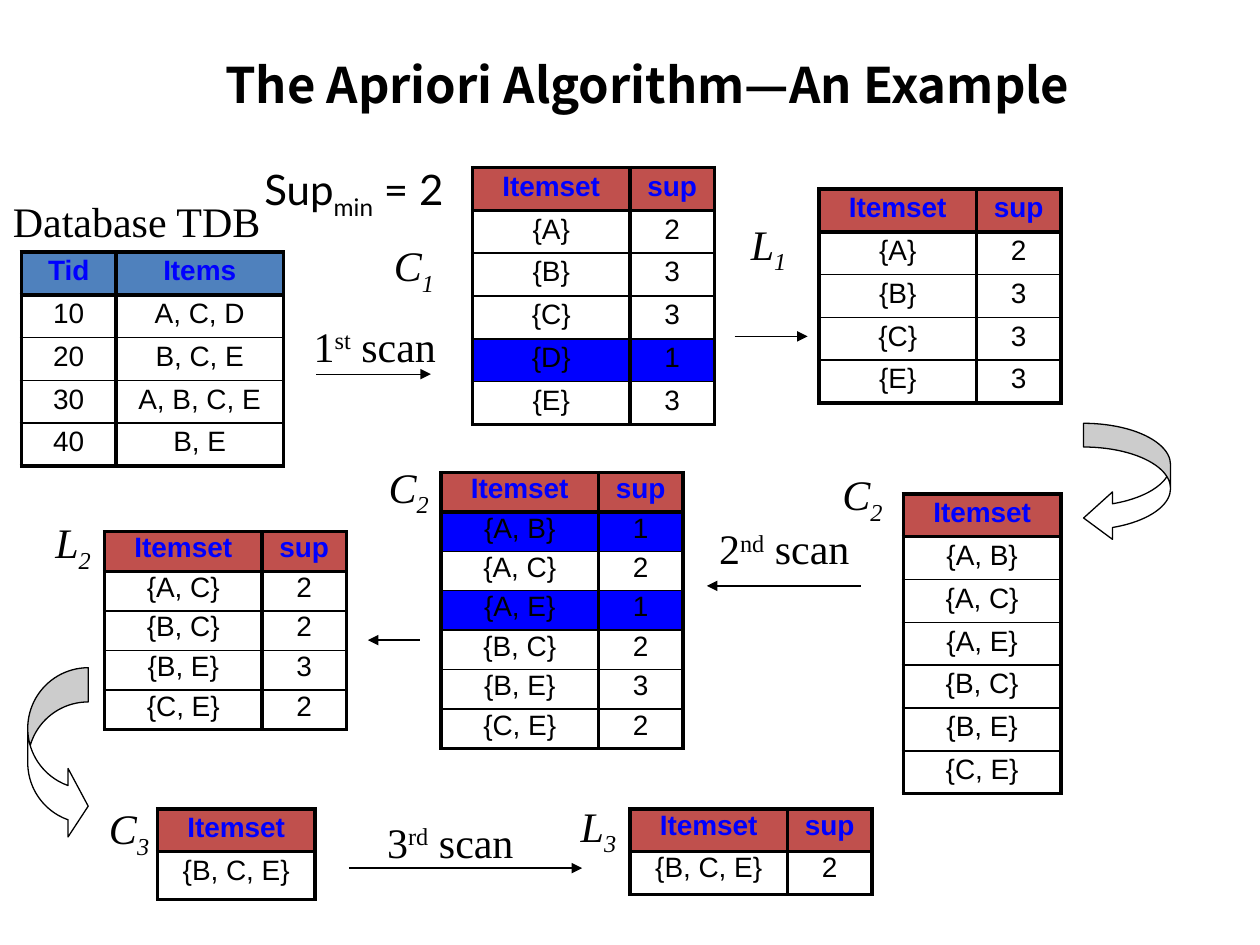
from dataclasses import dataclass

from lxml.etree import SubElement
from pptx import Presentation
from pptx.dml.color import RGBColor
from pptx.enum.shapes import MSO_CONNECTOR, MSO_SHAPE
from pptx.enum.text import MSO_ANCHOR, MSO_AUTO_SIZE, PP_ALIGN
from pptx.oxml import parse_xml
from pptx.oxml.ns import nsdecls, qn
from pptx.util import Inches, Pt

BLACK = RGBColor(0x00, 0x00, 0x00)
WHITE = RGBColor(0xFF, 0xFF, 0xFF)
BLUE = RGBColor(0x00, 0x00, 0xFF)
STEEL = RGBColor(0x4F, 0x81, 0xBD)
RED = RGBColor(0xC0, 0x50, 0x4D)
THICK, THIN = Pt(2.25), Pt(1)
SUB, SUPER = -25000, 30000
SERIF = "Times New Roman"
ITEM_COLS = (1.25, 0.67)


@dataclass
class Label:
    """Text runs; a run is (text, baseline shift)."""
    left: float
    top: float
    width: float
    runs: list[tuple[str, int]]
    height: float = 0.5
    font: str = SERIF
    size: int = 24
    italic: bool = False
    bold: bool = False
    align: PP_ALIGN = PP_ALIGN.CENTER
    anchor: MSO_ANCHOR = MSO_ANCHOR.MIDDLE
    wrap: bool = False


@dataclass
class Grid:
    """Table whose first row is the header; pruned rows are highlighted."""
    left: float
    top: float
    rows: list[tuple[str, ...]]
    cols: tuple[float, ...] = ITEM_COLS
    row_height: float = 0.34
    spacing: float = 0.9
    header: RGBColor = RED
    pruned: tuple[int, ...] = ()
    last_height: float = 0


@dataclass
class Arrow:
    x1: float
    x2: float
    y: float


@dataclass
class Bend:
    kind: MSO_SHAPE
    left: float
    top: float
    width: float
    height: float
    adjustments: tuple[float, ...]


def set_name(left: float, top: float, letter: str, index: str) -> Label:
    width = 0.53 if letter == "C" else 0.5
    return Label(left, top, width, [(letter, 0), (index, SUB)], italic=True)


def scan(left: float, top: float, width: float, number: str, suffix: str) -> Label:
    return Label(left, top, width, [(number, 0), (suffix, SUPER), (" scan", 0)])


LABELS = [
    Label(0.92, 0.33, 8.52, [("The Apriori Algorithm—An Example ", 0)], height=0.67,
          font="Noto Sans CJK SC", size=28, bold=True, wrap=True),
    Label(0, 1.5, 2.17, [("Database TDB", 0)]),
    Label(2, 1.25, 1.92, [("Sup", 0), ("min", SUB), (" = 2", 0)], font="Lato",
          align=PP_ALIGN.LEFT, anchor=MSO_ANCHOR.TOP, wrap=True),
    set_name(3.02, 1.88, "C", "1"),
    set_name(5.85, 1.71, "L", "1"),
    set_name(6.58, 3.7, "C", "2"),
    set_name(2.98, 3.64, "C", "2"),
    set_name(0.33, 4.08, "L", "2"),
    set_name(0.76, 6.35, "C", "3"),
    set_name(4.5, 6.33, "L", "3"),
    scan(2.38, 2.49, 1.19, "1", "st"),
    scan(5.59, 4.1, 1.27, "2", "nd"),
    scan(2.96, 6.43, 1.23, "3", "rd"),
]

ARROWS = [
    Arrow(2.51, 3.42, 2.97),
    Arrow(5.83, 6.41, 2.67),
    Arrow(6.83, 5.61, 4.65),
    Arrow(3.33, 2.92, 5.08),
    Arrow(2.77, 4.62, 6.89),
]

BENDS = [
    Bend(MSO_SHAPE.CURVED_LEFT_ARROW, 8.6, 3.36, 0.69, 0.94, (0.273, 0.546, 0.333)),
    Bend(MSO_SHAPE.CURVED_RIGHT_ARROW, 0.22, 5.3, 0.48, 1.37, (0.566, 1.132, 0.333)),
]

HEAD = ("Itemset", "sup")
GRIDS = [
    Grid(0.17, 2, [("Tid", "Items"), ("10", "A, C, D"), ("20", "B, C, E"),
                   ("30", "A, B, C, E"), ("40", "B, E")],
         cols=(0.75, 1.33), header=STEEL),
    Grid(3.75, 1.33, [HEAD, ("{A}", "2"), ("{B}", "3"), ("{C}", "3"),
                      ("{D}", "1"), ("{E}", "3")], pruned=(4,)),
    Grid(6.5, 1.5, [HEAD, ("{A}", "2"), ("{B}", "3"), ("{C}", "3"), ("{E}", "3")]),
    Grid(7.17, 3.92, [("Itemset",), ("{A, B}",), ("{A, C}",), ("{A, E}",),
                      ("{B, C}",), ("{B, E}",), ("{C, E}",)], cols=(1.25,)),
    Grid(3.5, 3.75, [HEAD, ("{A, B}", "1"), ("{A, C}", "2"), ("{A, E}", "1"),
                     ("{B, C}", "2"), ("{B, E}", "3"), ("{C, E}", "2")],
         row_height=2.19 / 7, spacing=0.8, pruned=(1, 3)),
    Grid(0.83, 4.22, [HEAD, ("{A, C}", "2"), ("{B, C}", "2"), ("{B, E}", "3"),
                      ("{C, E}", "2")], row_height=1.57 / 5, spacing=0.8),
    Grid(1.25, 6.42, [("Itemset",), ("{B, C, E}",)], cols=(1.25,), last_height=0.38),
    Grid(5, 6.42, [HEAD, ("{B, C, E}", "2")], spacing=0.8),
]


def add_label(s, label: Label) -> None:
    box = s.shapes.add_textbox(Inches(label.left), Inches(label.top),
                               Inches(label.width), Inches(label.height))
    tf = box.text_frame
    tf.word_wrap = label.wrap
    tf.auto_size = MSO_AUTO_SIZE.NONE
    tf.vertical_anchor = label.anchor
    p = tf.paragraphs[0]
    p.alignment = label.align
    for text, baseline in label.runs:
        r = p.add_run()
        r.text = text
        r.font.name, r.font.size = label.font, Pt(label.size)
        r.font.bold, r.font.italic = label.bold, label.italic
        r.font.color.rgb = BLACK
        if baseline:
            r.font._element.set("baseline", str(baseline))


def add_arrow(s, arrow: Arrow) -> None:
    line = s.shapes.add_connector(MSO_CONNECTOR.STRAIGHT, Inches(arrow.x1), Inches(arrow.y),
                                  Inches(arrow.x2), Inches(arrow.y))
    line.line.color.rgb, line.line.width = BLACK, Pt(0.75)
    SubElement(line.line._get_or_add_ln(), qn("a:tailEnd"), type="triangle")
    SubElement(line._element.spPr, qn("a:effectLst"))


def add_bend(s, bend: Bend) -> None:
    sp = s.shapes.add_shape(bend.kind, Inches(bend.left), Inches(bend.top),
                            Inches(bend.width), Inches(bend.height))
    sp.shadow.inherit = False
    for i, value in enumerate(bend.adjustments):
        sp.adjustments[i] = value
    sp.fill.solid()
    sp.fill.fore_color.rgb = WHITE
    sp.line.color.rgb, sp.line.width = BLACK, Pt(0.75)


def set_borders(cell, top: int, bottom: int) -> None:
    tc_pr = cell._tc.get_or_add_tcPr()
    sides = (("lnL", THICK), ("lnR", THICK), ("lnT", top), ("lnB", bottom))
    for i, (side, width) in enumerate(sides):
        tc_pr.insert(i, parse_xml(
            f'<a:{side} {nsdecls("a")} w="{int(width)}"><a:solidFill>'
            f'<a:srgbClr val="{BLACK}"/></a:solidFill></a:{side}>'))


def add_grid(s, grid: Grid) -> None:
    count = len(grid.rows)
    table = s.shapes.add_table(count, len(grid.cols), Inches(grid.left), Inches(grid.top),
                               Inches(sum(grid.cols)), Inches(grid.row_height * count)).table
    table.first_row = table.horz_banding = False
    for column, width in zip(table.columns, grid.cols):
        column.width = Inches(width)
    for i, values in enumerate(grid.rows):
        is_head, is_last = i == 0, i == count - 1
        height = grid.last_height if is_last and grid.last_height else grid.row_height
        table.rows[i].height = Inches(height)
        for j, text in enumerate(values):
            cell = table.cell(i, j)
            if is_head or i in grid.pruned:
                cell.fill.solid()
                cell.fill.fore_color.rgb = grid.header if is_head else BLUE
            else:
                cell.fill.background()
            set_borders(cell, THICK if i <= 1 else THIN,
                        THICK if is_head or is_last else THIN)
            p = cell.text_frame.paragraphs[0]
            p.text = text
            p.alignment, p.line_spacing = PP_ALIGN.CENTER, grid.spacing
            font = p.runs[0].font
            font.name, font.size, font.bold = "Arial", Pt(16), is_head
            font.color.rgb = BLUE if is_head else BLACK


def main() -> None:
    prs = Presentation()
    prs.slide_width, prs.slide_height = Inches(10), Inches(7.5)
    s = prs.slides.add_slide(prs.slide_layouts[6])
    for draw, items in ((add_label, LABELS), (add_arrow, ARROWS),
                        (add_bend, BENDS), (add_grid, GRIDS)):
        for item in items:
            draw(s, item)
    prs.save("out.pptx")


if __name__ == "__main__":
    main()
